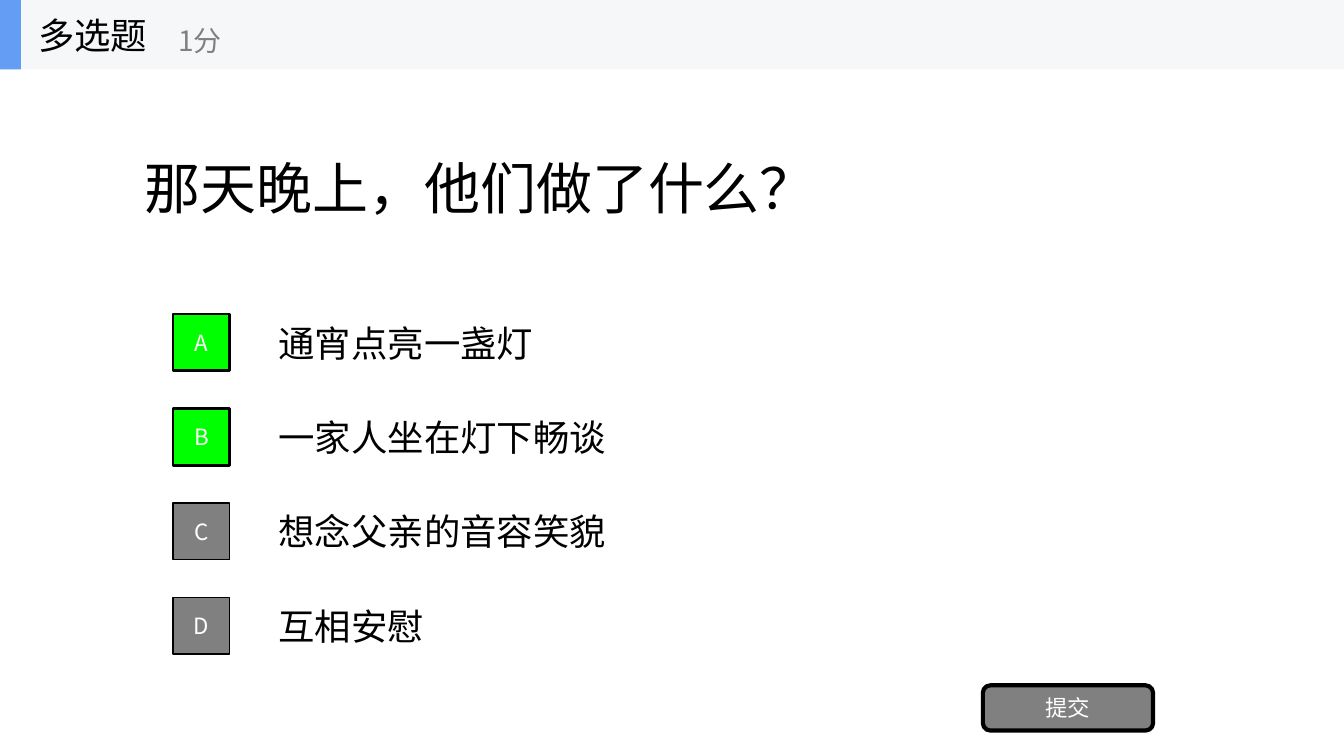
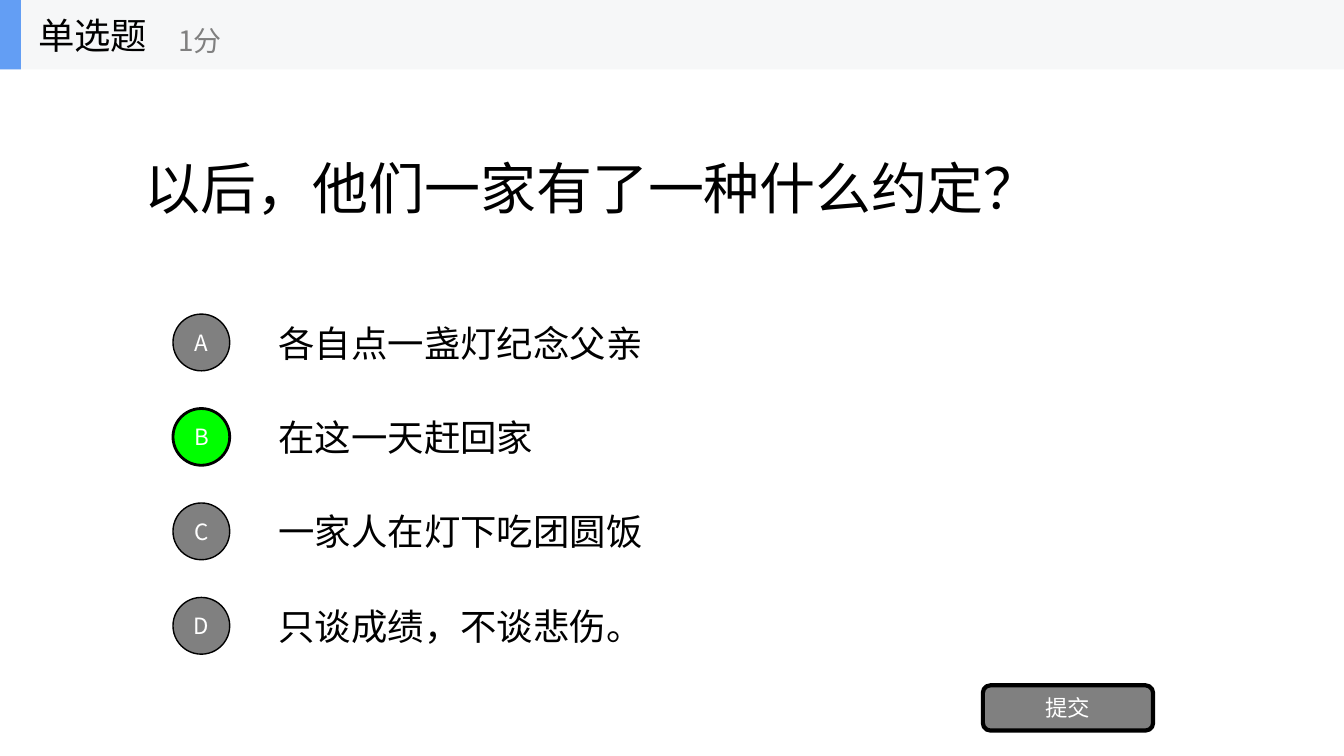
from lxml import etree
from pptx import Presentation
from pptx.dml.color import RGBColor
from pptx.enum.shapes import MSO_SHAPE as Preset
from pptx.enum.text import MSO_ANCHOR as Anchor, MSO_AUTO_SIZE as AutoSize, PP_ALIGN as Align
from pptx.oxml.ns import qn
from pptx.util import Cm, Pt

# Shared look
FONT = "Noto Sans CJK SC"
BLACK = RGBColor(0x00, 0x00, 0x00)
WHITE = RGBColor(0xFF, 0xFF, 0xFF)
GRAY = RGBColor(0x80, 0x80, 0x80)
GREEN = RGBColor(0x00, 0xFF, 0x00)
BLUE = RGBColor(0x63, 0x9E, 0xF4)
BAND = RGBColor(0xF6, 0xF7, 0xF8)

# Layout in centimetres
SLIDE_WIDTH, SLIDE_HEIGHT = 33.87, 19.05
BAND_HEIGHT = 1.75
OPTION_TOP, OPTION_HEIGHT, OPTION_STEP = 7.74, 1.78, 2.38
BADGE_SIZE = 1.43

# Kind, badge shape, question, options, correct letters
QUESTIONS = [
    ("多选题", Preset.RECTANGLE, "那天晚上，他们做了什么？",
     ["通宵点亮一盏灯", "一家人坐在灯下畅谈", "想念父亲的音容笑貌", "互相安慰"], "AB"),
    ("单选题", Preset.OVAL, "以后，他们一家有了一种什么约定？",
     ["各自点一盏灯纪念父亲", "在这一天赶回家", "一家人在灯下吃团圆饭", "只谈成绩，不谈悲伤。"], "B"),
]


def write(shape, text, size, color, align=Align.LEFT):
    """Put one formatted line of text into a shape, centred vertically."""
    frame = shape.text_frame
    frame.text = text
    frame.word_wrap = True
    frame.auto_size = AutoSize.NONE
    frame.vertical_anchor = Anchor.MIDDLE
    para = frame.paragraphs[0]
    para.alignment = align
    span = para.runs[0]
    span.font.size = Pt(size)
    span.font.color.rgb = color
    span.font.name = FONT
    # Chinese characters take the East Asian font
    properties = span.font._element
    properties.set("lang", "zh-CN")
    etree.SubElement(properties, qn("a:ea")).set("typeface", FONT)


def add_label(shapes, place, text, size, color=BLACK):
    box = shapes.add_textbox(*map(Cm, place))
    write(box, text, size, color)


def add_block(shapes, preset, place, fill, line_width=0):
    block = shapes.add_shape(preset, *map(Cm, place))
    block.shadow.inherit = False
    block.fill.solid()
    block.fill.fore_color.rgb = fill
    if line_width:
        block.line.color.rgb = BLACK
        block.line.width = Pt(line_width)
    else:
        block.line.fill.background()
    return block


def add_button(shapes, preset, place, text, fill, line_width):
    button = add_block(shapes, preset, place, fill, line_width)
    write(button, text, 16, WHITE, Align.CENTER)


def add_header(page, kind):
    shapes = page.shapes.add_group_shape().shapes
    add_block(shapes, Preset.RECTANGLE, (0, 0, SLIDE_WIDTH, BAND_HEIGHT), BAND)
    add_block(shapes, Preset.RECTANGLE, (0, 0, 0.53, BAND_HEIGHT), BLUE)
    add_label(shapes, (0.71, 0, 5.28, BAND_HEIGHT), kind, 26)
    add_label(shapes, (4.24, 0.3, 6.35, 1.42), "1分", 20, GRAY)


def set_question(page, text):
    title = page.shapes.title
    title.left, title.top, title.width, title.height = map(Cm, (3.39, BAND_HEIGHT, 27.09, 5.94))
    write(title, text, 40, BLACK)


def add_options(page, badge, options, correct):
    tops = [OPTION_TOP + row * OPTION_STEP for row in range(len(options))]
    for top, option in zip(tops, options):
        add_label(page.shapes, (6.77, top, 23.71, OPTION_HEIGHT), option, 26)
    for top, letter in zip(tops, "ABCD"):
        fill, line_width = (GREEN, 2) if letter in correct else (GRAY, 1)
        place = (4.36, top + (OPTION_HEIGHT - BADGE_SIZE) / 2, BADGE_SIZE, BADGE_SIZE)
        add_button(page.shapes, badge, place, letter, fill, line_width)


def main():
    deck = Presentation()
    deck.slide_width, deck.slide_height = Cm(SLIDE_WIDTH), Cm(SLIDE_HEIGHT)
    title_only = deck.slide_layouts[5]
    for kind, badge, question, options, correct in QUESTIONS:
        page = deck.slides.add_slide(title_only)
        set_question(page, question)
        add_options(page, badge, options, correct)
        add_button(page.shapes, Preset.ROUNDED_RECTANGLE, (24.77, 17.27, 4.29, 1.14), "提交", GRAY, 3)
        add_header(page, kind)
    deck.save("out.pptx")


if __name__ == "__main__":
    main()
